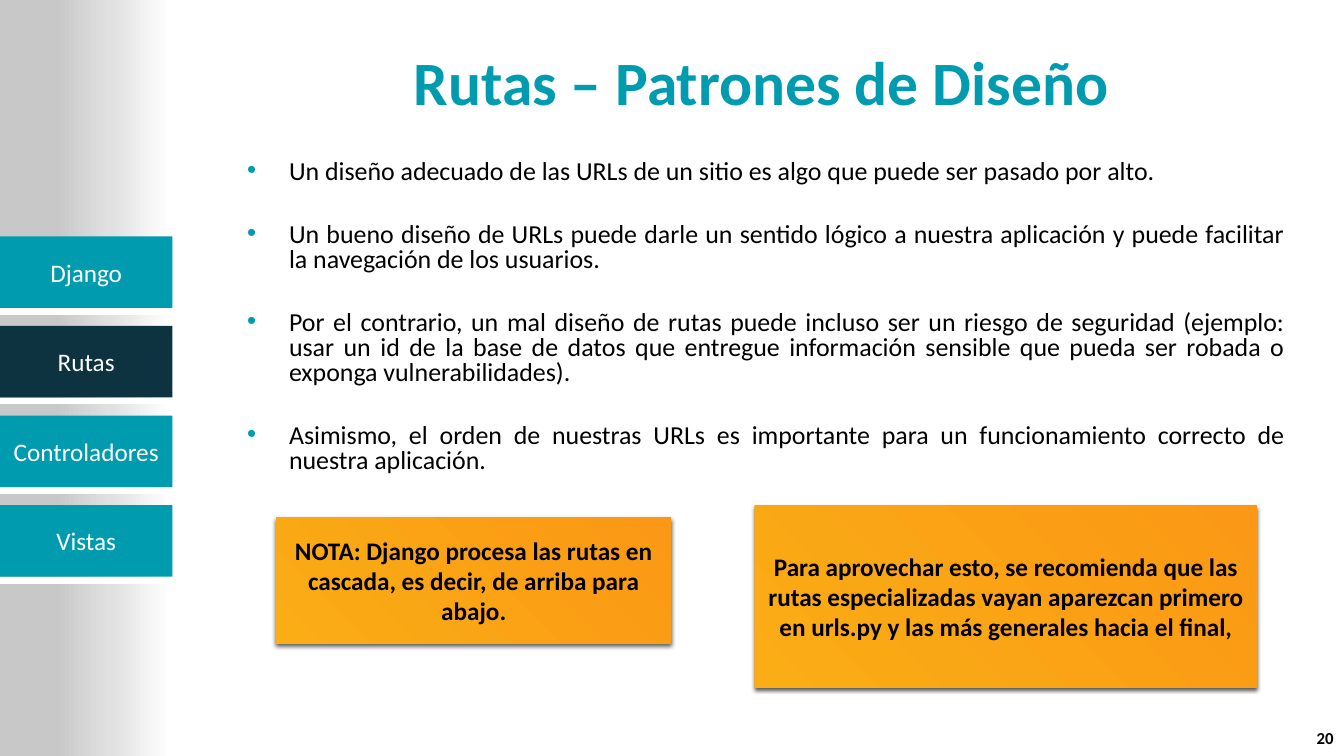
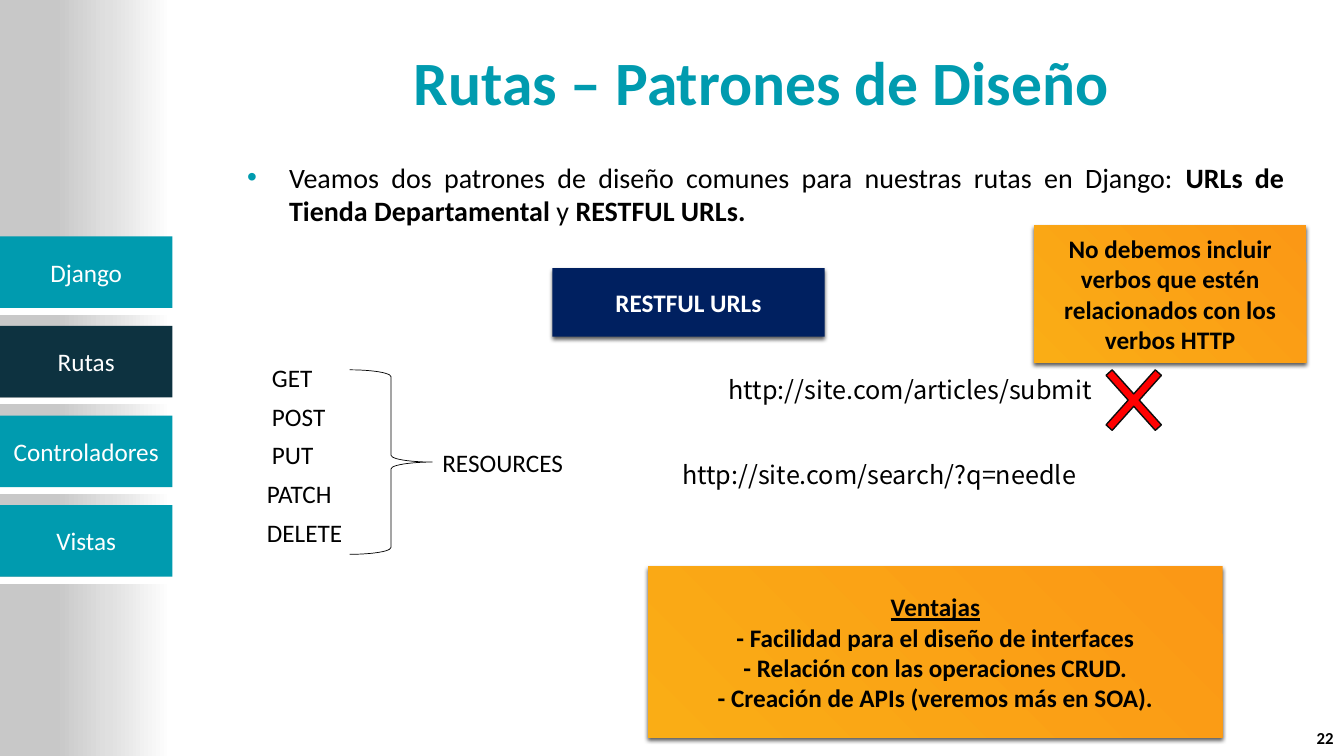
"""Build two slides on route design patterns with a shared navigation sidebar."""
from dataclasses import dataclass, field
from typing import Any, NamedTuple

from lxml import etree
from pptx import Presentation
from pptx import util as u
from pptx.dml.color import RGBColor
from pptx.enum import shapes, text
from pptx.oxml import ns

RECTANGLE = shapes.MSO_SHAPE.RECTANGLE
CENTER = text.PP_ALIGN.CENTER
MIDDLE = text.MSO_ANCHOR.MIDDLE


@dataclass(frozen=True)
class Theme:
    teal: str = "009BAF"
    dark_teal: str = "0D3240"
    navy: str = "002060"
    red: str = "FF0000"
    cross_line: str = "0D0D0D"
    white: str = "FFFFFF"
    black: str = "000000"
    amber: tuple = ((0, "FAAD15"), (100, "FB9815"))
    silver: tuple = ((0, "FFFFFF"), (36, "E0E0E0"), (67, "C8C8C8"))
    font: str = "Calibri"
    url_font: str = "Noto Sans CJK JP"
    title_size: float = 44
    lead_size: float = 20
    body_size: float = 18.5
    label_size: float = 18
    number_size: float = 12


THEME = Theme()


class Box(NamedTuple):
    left: float
    top: float
    width: float
    height: float


class Run(NamedTuple):
    text: str
    format: dict[str, Any] = {}


@dataclass(frozen=True)
class Style:
    size: float = THEME.label_size
    color: str = THEME.black
    bold: bool = False
    font: str = THEME.font
    bullet: bool = False
    layout: dict[str, Any] = field(default_factory=dict)
    gap: float = 0


@dataclass(frozen=True)
class Panel:
    box: Box
    lines: list
    color: str = THEME.black
    fill: str | None = None


TITLE = Style(THEME.title_size, THEME.teal, True, layout={"alignment": CENTER})
NUMBER = Style(THEME.number_size, bold=True, layout={"alignment": text.PP_ALIGN.RIGHT})
TAB = Style(color=THEME.white, layout={"alignment": CENTER})
JUSTIFIED = {"alignment": text.PP_ALIGN.JUSTIFY}
BODY = Style(THEME.body_size, bullet=True, layout=JUSTIFIED | {"line_spacing": 0.8}, gap=27.4)
LEAD = Style(THEME.lead_size, bullet=True, layout=JUSTIFIED)
LABEL = Style()
URL = Style(font=THEME.url_font)

HEADING = "Rutas – Patrones de Diseño"
TABS = ["Django", "Rutas", "Controladores", "Vistas"]
ACTIVE_TAB = "Rutas"
TAB_WIDTH, TAB_HEIGHT, TAB_TOP, TAB_PITCH = 123.1, 51.1, 168.8, 64
METHODS = [("GET", 187.2), ("POST", 187.2), ("PUT", 187.2), ("PATCH", 183.6), ("DELETE", 183.6)]
METHOD_TOP, METHOD_PITCH = 255.2, 27.7

ADVICE = [
    "Un diseño adecuado de las URLs de un sitio es algo que puede ser pasado por alto.",
    "Un bueno diseño de URLs puede darle un sentido lógico a nuestra aplicación y puede facilitar "
    "la navegación de los usuarios.",
    "Por el contrario, un mal diseño de rutas puede incluso ser un riesgo de seguridad (ejemplo: "
    "usar un id de la base de datos que entregue información sensible que pueda ser robada o "
    "exponga vulnerabilidades).",
    "Asimismo, el orden de nuestras URLs es importante para un funcionamiento correcto de "
    "nuestra aplicación.",
]
PATTERNS = [[
    Run("Veamos dos patrones de diseño comunes para nuestras rutas en Django: "),
    Run("URLs de Tienda Departamental ", {"bold": True}),
    Run("y "),
    Run("RESTFUL URLs.", {"bold": True}),
]]
ORDER_NOTES = [
    Panel(Box(197.3, 369.4, 282.2, 90),
          ["NOTA: Django procesa las rutas en cascada, es decir, de arriba para abajo."]),
    Panel(Box(539.3, 361, 358.6, 130),
          ["Para aprovechar esto, se recomienda que las rutas especializadas vayan aparezcan "
           "primero en urls.py y las más generales hacia el final,"]),
]
RESTFUL_NOTES = [
    Panel(Box(394.6, 191.5, 194.4, 49), ["RESTFUL URLs"], THEME.white, THEME.navy),
    Panel(Box(463, 404.6, 410.4, 122.4), [
        [Run("Ventajas", {"underline": True})],
        "- Facilidad para el diseño de interfaces",
        "- Relación con las operaciones CRUD.",
        "- Creación de APIs (veremos más en SOA).",
    ]),
    Panel(Box(738.7, 161, 194.4, 98),
          ["No debemos incluir verbos que estén relacionados con los verbos HTTP"]),
]


def apply_format(target: Any, values: dict[str, Any]) -> None:
    for name, value in values.items():
        setattr(target, name, value)


def add_element(parent: Any, tag: str, **attributes: Any) -> Any:
    values = {name: str(value) for name, value in attributes.items()}
    return etree.SubElement(parent, ns.qn(tag), values)


def add_bullet(paragraph: Any) -> None:
    properties = paragraph._p.get_or_add_pPr()
    properties.set("marL", str(u.Pt(36)))
    properties.set("indent", str(u.Pt(-30)))
    add_element(add_element(properties, "a:buClr"), "a:srgbClr", val=THEME.teal)
    add_element(properties, "a:buFont", typeface="Arial")
    add_element(properties, "a:buChar", char="•")


def write_lines(shape: Any, lines: list, style: Style, anchor: Any) -> None:
    frame = shape.text_frame
    apply_format(frame, {"word_wrap": True, "vertical_anchor": anchor})
    for index, line in enumerate(lines):
        paragraph = frame.add_paragraph() if index else frame.paragraphs[0]
        if style.bullet:
            add_bullet(paragraph)
        apply_format(paragraph, style.layout)
        if index and style.gap:
            paragraph.space_before = u.Pt(style.gap)
        for part in [Run(line)] if isinstance(line, str) else line:
            run = paragraph.add_run()
            run.text = part.text
            values = {"name": style.font, "size": u.Pt(style.size), "bold": style.bold}
            apply_format(run.font, values | part.format)
            run.font.color.rgb = RGBColor.from_string(style.color)


def add_text(slide: Any, box: Box, lines: list, style: Style,
             anchor: Any = text.MSO_ANCHOR.TOP) -> None:
    write_lines(slide.shapes.add_textbox(*map(u.Pt, box)), lines, style, anchor)


def add_shape(slide: Any, kind: Any, box: Box, fill: str | None = None,
              line: str | None = None, line_width: float = 1) -> Any:
    shape = slide.shapes.add_shape(kind, *map(u.Pt, box))
    shape.shadow.inherit = False
    if fill:
        shape.fill.solid()
        shape.fill.fore_color.rgb = RGBColor.from_string(fill)
    else:
        shape.fill.background()
    if line:
        shape.line.color.rgb = RGBColor.from_string(line)
        shape.line.width = u.Pt(line_width)
    else:
        shape.line.fill.background()
    return shape


def set_gradient(shape: Any, stops: tuple, radial: bool) -> None:
    properties = shape._element.spPr
    gradient = etree.Element(ns.qn("a:gradFill"), rotWithShape="1")
    stop_list = add_element(gradient, "a:gsLst")
    for position, color in stops:
        stop = add_element(stop_list, "a:gs", pos=position * 1000)
        add_element(stop, "a:srgbClr", val=color)
    if radial:
        radius = add_element(gradient, "a:path", path="circle")
        add_element(radius, "a:fillToRect", t=100000, r=100000)
    else:
        add_element(gradient, "a:lin", ang=10800000, scaled=0)
    properties.replace(properties.find(ns.qn("a:noFill")), gradient)


def add_shadow(shape: Any) -> None:
    effects = shape._element.spPr.find(ns.qn("a:effectLst"))
    shadow = add_element(effects, "a:outerShdw", blurRad=u.Pt(3), dist=u.Pt(2),
                         dir=5400000, rotWithShape=0)
    color = add_element(shadow, "a:srgbClr", val=THEME.black)
    add_element(color, "a:alpha", val=64000)


def add_panel(slide: Any, panel: Panel) -> None:
    shape = add_shape(slide, RECTANGLE, panel.box, panel.fill)
    if not panel.fill:
        set_gradient(shape, THEME.amber, radial=True)
    add_shadow(shape)
    style = Style(color=panel.color, bold=True, layout={"alignment": CENTER})
    write_lines(shape, panel.lines, style, MIDDLE)


def add_sidebar(slide: Any) -> None:
    band = add_shape(slide, RECTANGLE, Box(-0.7, 0, TAB_WIDTH, 540))
    set_gradient(band, THEME.silver, radial=False)
    for index, name in enumerate(TABS):
        top = TAB_TOP + index * TAB_PITCH
        separator = Box(0, top + 51.8, TAB_WIDTH, 3.6)
        add_shape(slide, RECTANGLE, separator, THEME.white, THEME.white, 1.25)
        color = THEME.dark_teal if name == ACTIVE_TAB else THEME.teal
        tab = add_shape(slide, RECTANGLE, Box(0, top, TAB_WIDTH, TAB_HEIGHT), color)
        write_lines(tab, [name], TAB, MIDDLE)


def add_base_slide(presentation: Any, number: int) -> Any:
    slide = presentation.slides.add_slide(presentation.slide_layouts[6])
    add_sidebar(slide)
    add_text(slide, Box(163.4, 17.6, 761.4, 79.9), [HEADING], TITLE, MIDDLE)
    add_text(slide, Box(922.3, 514.8, 37.4, 24.5), [str(number)], NUMBER, MIDDLE)
    return slide


def build_order_slide(presentation: Any) -> None:
    slide = add_base_slide(presentation, 20)
    add_text(slide, Box(163.4, 110.9, 761, 264.2), ADVICE, BODY)
    for panel in ORDER_NOTES:
        add_panel(slide, panel)


def build_restful_slide(presentation: Any) -> None:
    slide = add_base_slide(presentation, 22)
    add_text(slide, Box(163.4, 110.9, 761, 93.6), PATTERNS, LEAD)
    for index, (method, left) in enumerate(METHODS):
        top = METHOD_TOP + index * METHOD_PITCH
        add_text(slide, Box(left, top, 75, 28.8), [method], LABEL)
    brace = Box(249.8, 264.2, 59, 131.8)
    add_shape(slide, shapes.MSO_SHAPE.RIGHT_BRACE, brace, line=THEME.black, line_width=0.5)
    add_text(slide, Box(308.9, 316.1, 110.2, 28.8), ["RESOURCES"], LABEL)
    add_text(slide, Box(513.4, 263.5, 309.6, 28.8), ["http://site.com/articles/submit"], URL)
    add_text(slide, Box(480.2, 324.7, 309.6, 28.8), ["http://site.com/search/?q=needle"], URL)
    cross = add_shape(slide, shapes.MSO_SHAPE.MATH_MULTIPLY, Box(776, 248, 67.7, 75.6),
                      THEME.red, THEME.cross_line)
    cross.adjustments[0] = 0.087
    for panel in RESTFUL_NOTES:
        add_panel(slide, panel)


def main() -> None:
    presentation = Presentation()
    apply_format(presentation, {"slide_width": u.Pt(960), "slide_height": u.Pt(540)})
    build_order_slide(presentation)
    build_restful_slide(presentation)
    presentation.save("out.pptx")


if __name__ == "__main__":
    main()
